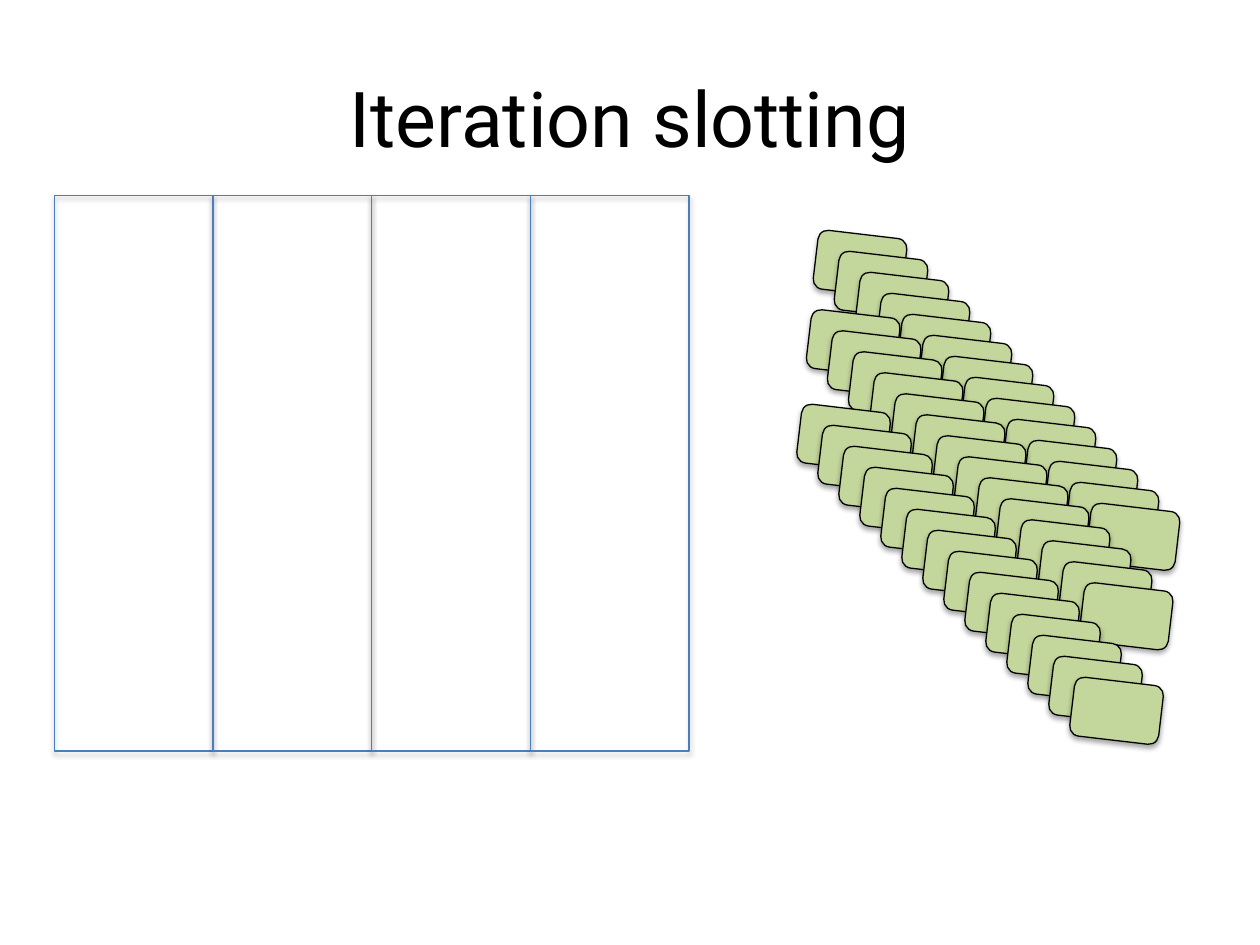
from lxml.etree import SubElement
from pptx import Presentation
from pptx.dml.color import RGBColor
from pptx.enum.shapes import MSO_SHAPE
from pptx.enum.text import MSO_ANCHOR, PP_ALIGN
from pptx.oxml.ns import qn
from pptx.util import Pt

TITLE = "Iteration slotting"
SLOTS = 4
SLOT = (31, 111.6, 90.7, 317.5)
STACKS = [(465.9, 133.9), (462, 179.3), (456.5, 233.3)]
CARDS = 14
CARD = (51.1, 33.8)
STEP = 12
TILT = 6.7

BLACK = RGBColor(0x00, 0x00, 0x00)
BLUE = RGBColor(0x4B, 0x7E, 0xBC)
GREEN = RGBColor(0xC3, 0xD6, 0x9B)


def add_shade(shape):
    shape.shadow.inherit = False
    effects = shape.element.spPr.find(qn("a:effectLst"))
    shade = SubElement(effects, qn("a:outerShdw"), blurRad=str(Pt(3.1)),
                       dist=str(Pt(1.8)), dir="5400000", rotWithShape="0")
    color = SubElement(shade, qn("a:srgbClr"), val=str(BLACK))
    SubElement(color, qn("a:alpha"), val="35000")


def add_box(slide, kind, left, top, width, height, line, fill=None):
    box = slide.shapes.add_shape(kind, Pt(left), Pt(top), Pt(width), Pt(height))
    if fill is None:
        box.fill.background()
    else:
        box.fill.solid()
        box.fill.fore_color.rgb = fill
    box.line.color.rgb = line
    box.line.width = Pt(0.75)
    add_shade(box)
    return box


def add_title(slide):
    title = slide.shapes.title
    title.left, title.top = Pt(36), Pt(21.6)
    title.width, title.height = Pt(648), Pt(90)
    frame = title.text_frame
    frame.text = TITLE
    frame.vertical_anchor = MSO_ANCHOR.MIDDLE
    para = frame.paragraphs[0]
    para.alignment = PP_ALIGN.CENTER
    para.font.name = "Roboto"
    para.font.size = Pt(44)
    para.font.color.rgb = BLACK


def main():
    deck = Presentation()
    deck.slide_width, deck.slide_height = Pt(720), Pt(540)
    slide = deck.slides.add_slide(deck.slide_layouts[5])
    add_title(slide)

    left, top, width, height = SLOT
    for i in range(SLOTS):
        add_box(slide, MSO_SHAPE.RECTANGLE, left + i * width, top, width, height, BLUE)

    for left, top in STACKS:
        for i in range(CARDS):
            card = add_box(slide, MSO_SHAPE.ROUNDED_RECTANGLE,
                           left + i * STEP, top + i * STEP, *CARD, BLACK, GREEN)
            card.rotation = TILT

    deck.save("out.pptx")


if __name__ == "__main__":
    main()
